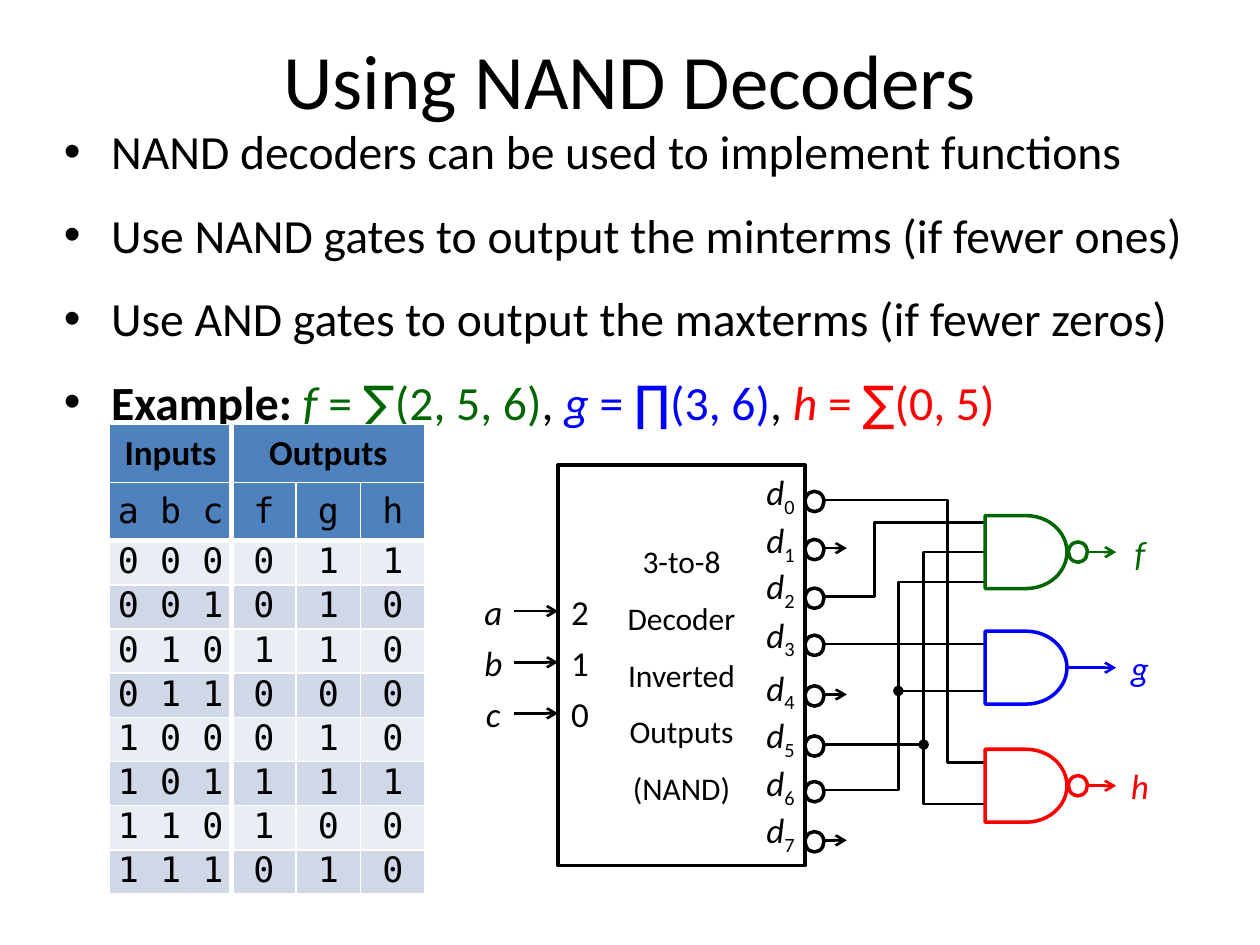
from lxml import etree
from pptx import Presentation
from pptx.dml.color import RGBColor
from pptx.enum.shapes import MSO_CONNECTOR, MSO_SHAPE
from pptx.enum.text import MSO_ANCHOR, PP_ALIGN
from pptx.oxml.ns import qn
from pptx.util import Cm, Pt

CENTER, LEFT = PP_ALIGN.CENTER, PP_ALIGN.LEFT
MIDDLE, TOP = MSO_ANCHOR.MIDDLE, MSO_ANCHOR.TOP
RECTANGLE, OVAL, DELAY = MSO_SHAPE.RECTANGLE, MSO_SHAPE.OVAL, MSO_SHAPE.FLOWCHART_DELAY
STRAIGHT = MSO_CONNECTOR.STRAIGHT

BLACK, WHITE, GREEN, BLUE, RED = "000000", "FFFFFF", "006600", "0000FF", "FF0000"
SANS, SYMBOL, MONO = "Calibri", "DejaVu Sans", "DejaVu Sans Mono"

TITLE = "Using NAND Decoders"


def formula(name, operator, terms, color):
    return [(name, {"color": color, "italic": True}), (" = ", {"color": color}),
            (operator, {"color": color, "name": SYMBOL}), (terms, {"color": color})]


BULLETS = [
    [("NAND decoders can be used to implement functions", {})],
    [("Use NAND gates to output the minterms (if fewer ones)", {})],
    [("Use AND gates to output the maxterms (if fewer zeros)", {})],
    [("Example: ", {"bold": True}),
     *formula("f", "∑", "(2, 5, 6)", GREEN), (", ", {}),
     *formula("g", "∏", "(3, 6)", BLUE), (", ", {}),
     *formula("h", "∑", "(0, 5)", RED)],
]

TRUTH_TABLE = [
    ["Inputs", "Outputs", "", ""],
    ["a b c", "f", "g", "h"],
    ["0 0 0", "0", "1", "1"],
    ["0 0 1", "0", "1", "0"],
    ["0 1 0", "1", "1", "0"],
    ["0 1 1", "0", "0", "0"],
    ["1 0 0", "0", "1", "0"],
    ["1 0 1", "1", "1", "1"],
    ["1 1 0", "1", "0", "0"],
    ["1 1 1", "0", "1", "0"],
]
HEADER_ROWS = 2
COLUMN_WIDTHS = [2.46, 1.3, 1.3, 1.3]
HEADER_FILL, BAND_FILLS = "4F81BD", ["E9EDF4", "D0D8E8"]

DECODER_LINES = ["3-to-8", "Decoder", "Inverted", "Outputs", "(NAND)"]
DECODER_LEFT, DECODER_TOP, DECODER_WIDTH, DECODER_HEIGHT = 11.25, 9.37, 4.98, 8.08
DECODER_RIGHT = DECODER_LEFT + DECODER_WIDTH
INPUTS = [("a", "2", 12.32), ("b", "1", 13.35), ("c", "0", 14.38)]  # name, weight, y
PIN_Y = [10.08, 11.05, 12.03, 12.98, 14.0, 15.01, 15.93, 16.94]
PIN_LABEL_Y = [9.97, 10.93, 11.87, 12.84, 13.91, 14.87, 15.84, 16.78]
UNUSED_PINS = [1, 4, 7]

GATE_LEFT, GATE_WIDTH, GATE_HEIGHT = 19.86, 1.65, 1.47
GATES = [("f", GREEN, 11.13, True), ("g", BLUE, 13.46, False), ("h", RED, 15.84, True)]
BUBBLE_WIDTH, BUBBLE_HEIGHT = 0.38, 0.41

D2_X, D6_X, D5_X, D0_X = 17.63, 18.11, 18.62, 19.1  # vertical runs
GATE_IN = 20.0
D6_NODE_Y = 13.93
# points, arrowhead at the start, arrowhead at the end
WIRES = [
    ([(DECODER_RIGHT, PIN_Y[2]), (D2_X, PIN_Y[2]), (D2_X, 10.54), (GATE_IN, 10.54)], None, None),
    ([(DECODER_RIGHT, PIN_Y[0]), (D0_X, PIN_Y[0]), (D0_X, 15.37), (GATE_IN, 15.37)], None, None),
    ([(D6_X, D6_NODE_Y), (D6_X, PIN_Y[6]), (DECODER_RIGHT, PIN_Y[6])], "oval", None),
    ([(GATE_IN, 11.73), (D6_X, 11.73), (D6_X, D6_NODE_Y), (GATE_IN, D6_NODE_Y)], None, None),
    ([(GATE_IN, 11.13), (D5_X, 11.13), (D5_X, 16.21), (GATE_IN, 16.21)], None, None),
    ([(DECODER_RIGHT, PIN_Y[5]), (D5_X, PIN_Y[5])], None, "oval"),
    ([(DECODER_RIGHT, PIN_Y[3]), (GATE_IN, PIN_Y[3])], None, None),
    *[([(DECODER_RIGHT, PIN_Y[pin]), (17.07, PIN_Y[pin])], None, "arrow") for pin in UNUSED_PINS],
]

presentation = Presentation()
presentation.slide_width, presentation.slide_height = Cm(25.4), Cm(19.05)
slide = presentation.slides.add_slide(presentation.slide_layouts[6])
shapes = slide.shapes


def rgb(color):
    return RGBColor.from_string(color)


def style(font, size=None, name=None, color=None, bold=None, italic=None):
    if size:
        font.size = Pt(size)
    if name:
        font.name = name
    if color:
        font.color.rgb = rgb(color)
    font.bold, font.italic = bold, italic


def write(frame, lines, size, align=CENTER, anchor=MIDDLE, wrap=True, inset=0,
          spacing=None, gap=0, bullet=False, name=SANS, color=BLACK, **look):
    """Fill a frame with lines, each a string or a list of (text, font changes)."""
    frame.word_wrap, frame.vertical_anchor = wrap, anchor
    frame.margin_left = frame.margin_right = Cm(inset)
    frame.margin_top = frame.margin_bottom = Cm(inset / 2)
    for index, line in enumerate(lines):
        paragraph = frame.add_paragraph() if index else frame.paragraphs[0]
        paragraph.alignment = align
        if spacing:
            paragraph.line_spacing = spacing
        if gap and index:
            paragraph.space_before = Pt(gap)
        if bullet:
            properties = paragraph._p.get_or_add_pPr()
            properties.set("marL", str(Cm(0.95)))
            properties.set("indent", str(-Cm(0.95)))
            etree.SubElement(properties, qn("a:buFont")).set("typeface", "Arial")
            etree.SubElement(properties, qn("a:buChar")).set("char", "•")
        style(paragraph.font, size, name, color, **look)
        for text, changes in [(line, {})] if isinstance(line, str) else line:
            run = paragraph.add_run()
            run.text = text
            changes = dict(changes)
            if changes.pop("subscript", False):
                run._r.get_or_add_rPr().set("baseline", "-25000")
            if changes:
                style(run.font, **changes)


def add_text(left, top, width, height, lines, size, **options):
    box = shapes.add_textbox(Cm(left), Cm(top), Cm(width), Cm(height))
    write(box.text_frame, lines, size, **options)


def add_label(left, middle, line, width=0.89, **look):
    add_text(left, middle - 0.5, width, 1, [line], 20, wrap=False, **look)


def add_part(kind, left, top, width, height, color):
    part = shapes.add_shape(kind, Cm(left), Cm(top), Cm(width), Cm(height))
    part.shadow.inherit = False
    part.fill.solid()
    part.fill.fore_color.rgb = rgb(WHITE)
    part.line.color.rgb, part.line.width = rgb(color), Pt(2)
    return part


def add_bubble(left, middle, color):
    add_part(OVAL, left, middle - BUBBLE_HEIGHT / 2, BUBBLE_WIDTH, BUBBLE_HEIGHT, color)


def add_wire(points, head=None, tail=None, color=BLACK):
    corners = [(Cm(x), Cm(y)) for x, y in points]
    if len(corners) == 2:
        wire = shapes.add_connector(STRAIGHT, *corners[0], *corners[1])
    else:
        builder = shapes.build_freeform(*corners[0])
        builder.add_line_segments(corners[1:], close=False)
        wire = builder.convert_to_shape()
        wire.fill.background()
    wire.line.color.rgb, wire.line.width = rgb(color), Pt(1.5)
    outline = wire._element.spPr.find(qn("a:ln"))
    for end, kind in (("a:headEnd", head), ("a:tailEnd", tail)):
        if kind:
            etree.SubElement(outline, qn(end)).set("type", kind)
    etree.SubElement(wire._element.spPr, qn("a:effectLst"))


def add_borders(cell, row, column):
    """White rules, thick below the header and beside the inputs."""
    thick = {"L": column == 1, "R": column == 0,
             "T": row == HEADER_ROWS, "B": row == HEADER_ROWS - 1}
    for side, is_thick in thick.items():
        border = etree.SubElement(cell._tc.get_or_add_tcPr(), qn(f"a:ln{side}"))
        border.set("w", str(Pt(3 if is_thick else 1)))
        fill = etree.SubElement(border, qn("a:solidFill"))
        etree.SubElement(fill, qn("a:srgbClr")).set("val", WHITE)


# Wires and gates
for points, head, tail in WIRES:
    add_wire(points, head, tail)
for name, color, middle, inverted in GATES:
    gate_right = GATE_LEFT + GATE_WIDTH
    add_wire([(gate_right, middle), (22.5, middle)], tail="arrow", color=color)
    add_label(22.61, middle, name, width=0.74, color=color, italic=True)
    add_part(DELAY, GATE_LEFT, middle - GATE_HEIGHT / 2, GATE_WIDTH, GATE_HEIGHT, color)
    if inverted:
        add_bubble(gate_right + 0.03, middle, color)

# Title and bullets
add_text(1.27, 0, 22.86, 3.18, [TITLE], 44, inset=0.25)
add_text(1.04, 2.34, 23.77, 6.25, BULLETS, 27.2, align=LEFT, anchor=TOP,
         inset=0.25, gap=15, bullet=True)

# Truth table
row_heights = [1.17 if row < HEADER_ROWS else 0.89 for row in range(len(TRUTH_TABLE))]
table = shapes.add_table(len(TRUTH_TABLE), len(COLUMN_WIDTHS), Cm(2.21), Cm(8.56),
                         Cm(sum(COLUMN_WIDTHS)), Cm(sum(row_heights))).table
table.first_row = table.horz_banding = False
for column, width in enumerate(COLUMN_WIDTHS):
    table.columns[column].width = Cm(width)
for row, values in enumerate(TRUTH_TABLE):
    table.rows[row].height = Cm(row_heights[row])
    is_header = row < HEADER_ROWS
    for column, value in enumerate(values):
        cell = table.cell(row, column)
        add_borders(cell, row, column)
        cell.fill.solid()
        cell.fill.fore_color.rgb = rgb(HEADER_FILL if is_header else BAND_FILLS[row % 2])
        cell.margin_left = cell.margin_right = cell.margin_top = cell.margin_bottom = 0
        cell.vertical_anchor = MIDDLE
        if value:
            write(cell.text_frame, [value], 20, name=MONO if row else SANS,
                  bold=row == 0, spacing=None if is_header else 0.9)
table.cell(0, 1).merge(table.cell(0, 3))

# Decoder
decoder = add_part(RECTANGLE, DECODER_LEFT, DECODER_TOP, DECODER_WIDTH, DECODER_HEIGHT, BLACK)
write(decoder.text_frame, DECODER_LINES, 18, spacing=1.5)
for name, weight, y in INPUTS:
    add_wire([(10.36, y), (DECODER_LEFT, y)], tail="arrow")
    add_label(9.5, y, name, italic=True)
    add_label(DECODER_LEFT, y, weight)
for pin, (y, label_y) in enumerate(zip(PIN_Y, PIN_LABEL_Y)):
    add_label(15.29, label_y, [("d", {"italic": True}), (str(pin), {"subscript": True})])
    add_bubble(DECODER_RIGHT, y + 0.03, BLACK)

presentation.save("out.pptx")
